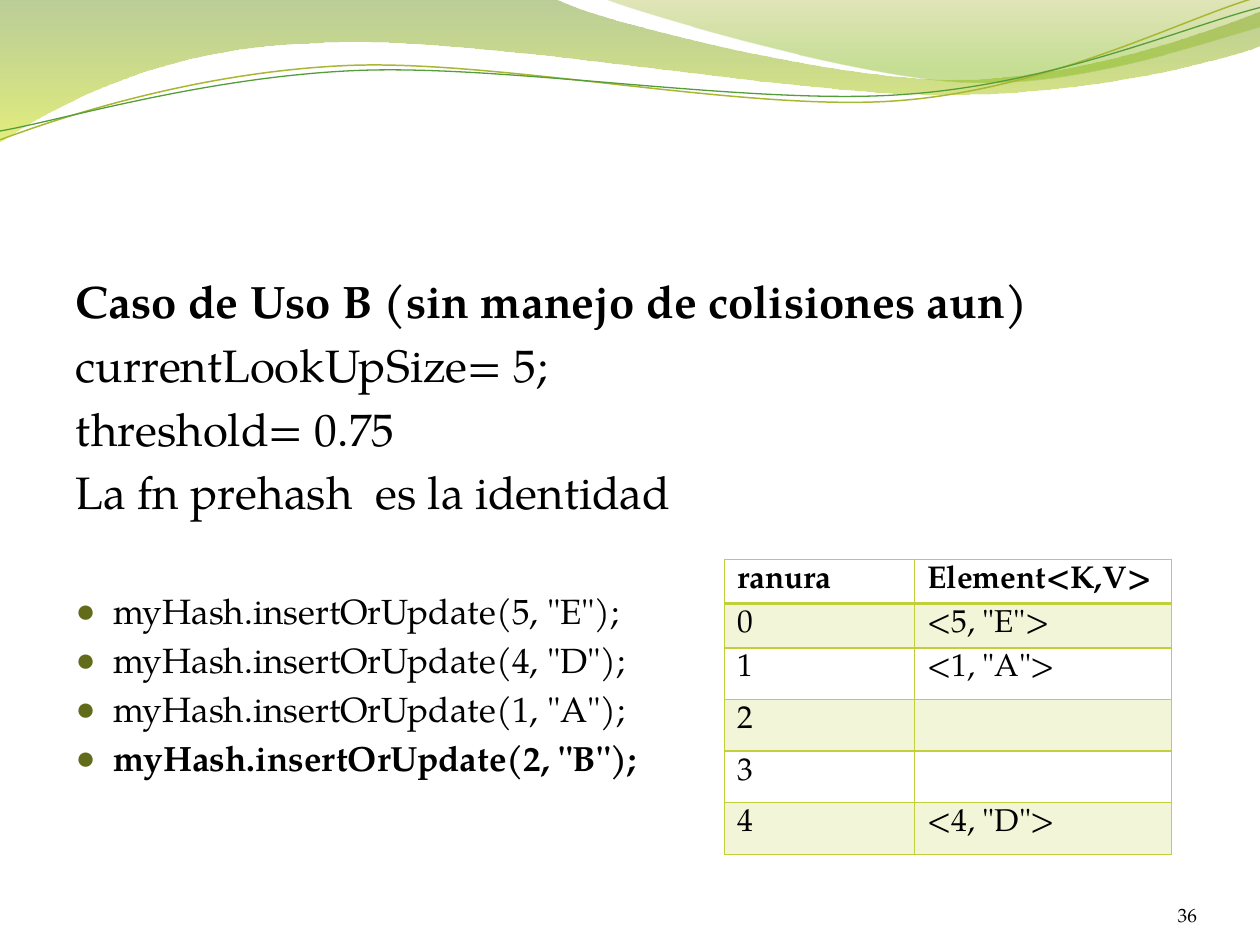
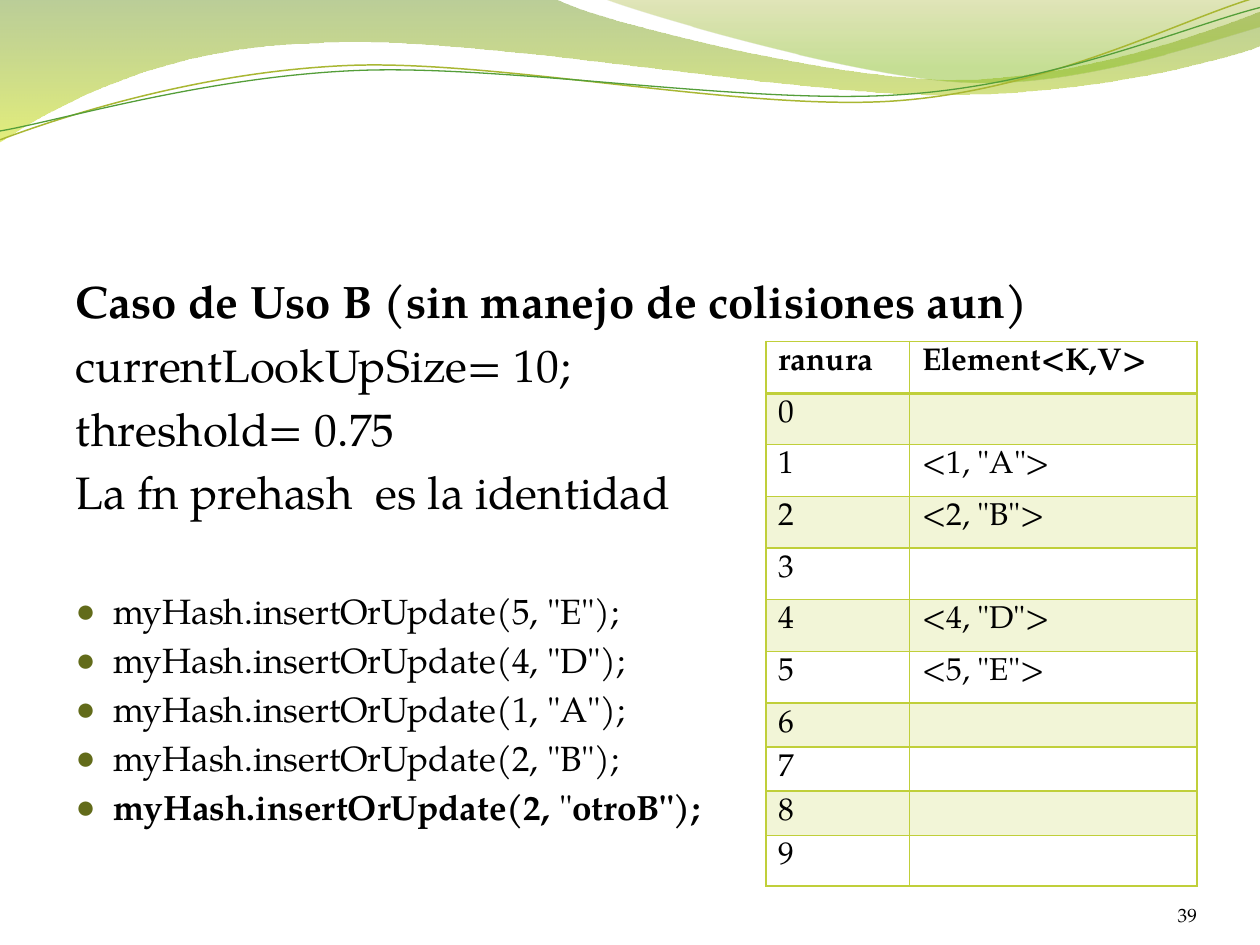
import math
from dataclasses import dataclass

from lxml import etree
from pptx import Presentation, util as u
from pptx.dml.color import RGBColor
from pptx.enum import text
from pptx.oxml.ns import qn


@dataclass(frozen=True)
class Theme:
    font: str = "TeX Gyre Pagella"
    ink: str = "000000"
    bullet: str = "626B1A"
    grid: str = "C0CF3A"
    olive_line: str = "A9B733"
    green_line: str = "549E39"
    wide_wave: tuple = ((0, "69921C", 45), (1, "CCE10F", 55))
    right_wave: tuple = ((0, "9BAA1A", 30), (0.8, "81BA16", 45))
    heading_size: int = 26
    call_size: int = 20
    table_size: int = 18
    number_size: int = 11
    band_opacity: int = 20


THEME = Theme()
CURVE_TILT = -2.7
FULL_ROW, COMPACT_ROW, LAST_ROW = 0.41, 0.2, 0.4

WIDE_WAVE = [
    [(0, 0)], [(4.4, -0.01)],
    [(4.75, 0.17), (6.63, 0.63), (7.58, 0.63)],
    [(8.53, 0.63), (9.58, 0.26), (10, 0.09)], [(10.01, 0.36)],
    [(9.83, 0.44), (8.69, 0.76), (7.46, 0.75)],
    [(6.22, 0.75), (3.81, 0.28), (2.57, 0.34)],
    [(1.29, 0.36), (0.46, 0.83), (-0.01, 1.13)], [(0, 0)],
]
RIGHT_WAVE = [
    [(4.79, -0.01)],
    [(5.09, 0.11), (6.82, 0.62), (7.68, 0.65)],
    [(8.55, 0.69), (9.61, 0.32), (10, 0.21)], [(10, 0)], [(4.79, -0.01)],
]
OLIVE_CURVE = [
    [(0, 1.11)],
    [(0.48, 0.93), (1.57, 0.57), (2.76, 0.52)],
    [(3.95, 0.47), (5.92, 0.89), (7.12, 0.8)],
    [(8.33, 0.71), (9.38, 0.15), (9.97, -0.02)],
]
GREEN_CURVE = [
    [(0, 1.04)],
    [(0.47, 0.96), (1.63, 0.61), (2.83, 0.56)],
    [(4.02, 0.51), (5.97, 0.84), (7.17, 0.75)],
    [(8.36, 0.67), (9.41, 0.21), (10, 0.06)],
]


def color(value):
    return RGBColor.from_string(value)


def sub(parent, tag, **attributes):
    return etree.SubElement(parent, qn(tag), attributes)


def set_opacity(element, percent):
    sub(element, "a:alpha", val=str(percent * 1000))


def rotate(point, center, degrees):
    angle = math.radians(degrees)
    x, y = point[0] - center[0], point[1] - center[1]
    return (center[0] + x * math.cos(angle) - y * math.sin(angle),
            center[1] + x * math.sin(angle) + y * math.cos(angle))


def add_outline(slide, segments, closed):
    segments = [[(u.Inches(x), u.Inches(y)) for x, y in segment] for segment in segments]
    start, *anchors = [segment[-1] for segment in segments]
    builder = slide.shapes.build_freeform(*start)
    builder.add_line_segments(anchors, close=closed)
    shape = builder.convert_to_shape()
    shape.shadow.inherit = False
    for line, segment in zip(list(shape.element.iter(qn("a:lnTo"))), segments[1:]):
        if len(segment) == 3:
            curve = etree.Element(qn("a:cubicBezTo"))
            for x, y in segment:
                sub(curve, "a:pt", x=str(x - shape.left), y=str(y - shape.top))
            line.getparent().replace(line, curve)
    return shape


def add_wave(slide, segments, stops):
    shape = add_outline(slide, segments, True)
    shape.line.fill.background()
    shape.fill.gradient()
    shape.fill.gradient_angle = 270
    for stop, (position, value, _) in zip(shape.fill.gradient_stops, stops):
        stop.position = position
        stop.color.rgb = color(value)
    for element, (_, _, opacity) in zip(shape.element.iter(qn("a:srgbClr")), stops):
        set_opacity(element, opacity)
    return shape


def add_curve(slide, segments, center, value, width):
    level = [[rotate(point, center, -CURVE_TILT) for point in segment]
             for segment in segments]
    shape = add_outline(slide, level, False)
    shape.rotation = CURVE_TILT
    shape.fill.background()
    shape.line.color.rgb = color(value)
    shape.line.width = u.Pt(width)
    return shape


def add_shared_band(layout, slide):
    band = [
        add_wave(slide, WIDE_WAVE, THEME.wide_wave),
        add_wave(slide, RIGHT_WAVE, THEME.right_wave),
        add_curve(slide, OLIVE_CURVE, (4.99, 0.57), THEME.olive_line, 0.85),
        add_curve(slide, GREEN_CURVE, (5, 0.59), THEME.green_line, 0.75),
    ]
    for shape in band:
        layout.element.cSld.spTree.append(shape.element)


def add_run(paragraph, words, size, bold=False):
    run = paragraph.add_run()
    run.text = words
    run.font.name = THEME.font
    run.font.size = u.Pt(size)
    run.font.bold = bold
    run.font.color.rgb = color(THEME.ink)


def format_bullet(paragraph, bulleted):
    properties = paragraph._p.get_or_add_pPr()
    margin = u.Inches(0.3) if bulleted else 0
    properties.set("marL", str(margin))
    properties.set("indent", str(-margin))
    if bulleted:
        sub(sub(properties, "a:buClr"), "a:srgbClr", val=THEME.bullet)
        sub(properties, "a:buSzPct", val="95000")
        sub(properties, "a:buChar", char="●")
    else:
        sub(properties, "a:buNone")


def fill_body(slide, settings, calls):
    slide.shapes.title.element.getparent().remove(slide.shapes.title.element)
    body = slide.placeholders[1]
    body.left, body.top, body.width, body.height = map(u.Inches, (0.5, 2.12, 9, 4.8))
    frame = body.text_frame
    frame.auto_size = text.MSO_AUTO_SIZE.NONE
    paragraph = frame.paragraphs[0]
    for index, words in enumerate(settings):
        if index:
            paragraph = frame.add_paragraph()
        format_bullet(paragraph, False)
        add_run(paragraph, words, THEME.heading_size, bold=index == 0)
    for index, runs in enumerate(calls):
        paragraph = frame.add_paragraph()
        if index == 0:
            paragraph.space_before = u.Pt(40.5)
        format_bullet(paragraph, True)
        for words, bold in runs:
            add_run(paragraph, words, THEME.call_size, bold)


def add_page_number(slide, number):
    box = slide.shapes.add_textbox(*map(u.Inches, (8.67, 6.95, 0.83, 0.4)))
    frame = box.text_frame
    frame.word_wrap = True
    frame.vertical_anchor = text.MSO_ANCHOR.BOTTOM
    frame.margin_left = frame.margin_right = frame.margin_top = frame.margin_bottom = 0
    paragraph = frame.paragraphs[0]
    paragraph.alignment = text.PP_ALIGN.RIGHT
    add_run(paragraph, str(number), THEME.number_size)


def set_borders(cell, top, bottom):
    properties = cell._tc.get_or_add_tcPr()
    widths = {"a:lnL": 1, "a:lnR": 1, "a:lnT": top, "a:lnB": bottom}
    for index, (tag, width) in enumerate(widths.items()):
        line = sub(properties, tag, w=str(u.Pt(width)))
        sub(sub(line, "a:solidFill"), "a:srgbClr", val=THEME.grid)
        properties.insert(index, line)


def format_cell(cell, words, row, compact):
    if compact:
        cell.margin_bottom = 0
    if row % 2:
        cell.fill.solid()
        cell.fill.fore_color.rgb = color(THEME.grid)
        set_opacity(next(cell._tc.iter(qn("a:srgbClr"))), THEME.band_opacity)
    else:
        cell.fill.background()
    paragraph = cell.text_frame.paragraphs[0]
    if words:
        add_run(paragraph, words, THEME.table_size, bold=row == 0)
    else:
        paragraph.font.size = u.Pt(THEME.table_size)
    set_borders(cell, 2 if row == 1 else 1, 2 if row == 0 else 1)


def add_slot_table(slide, box, widths, heights, elements):
    rows = [("ranura", "Element<K,V>")]
    rows += [(str(slot), elements.get(slot, "")) for slot in range(len(heights) - 1)]
    frame = slide.shapes.add_table(len(rows), len(widths), *map(u.Inches, box))
    table = frame.table
    table.horz_banding = False
    for column, width in zip(table.columns, widths):
        column.width = u.Inches(width)
    for index, (height, values) in enumerate(zip(heights, rows)):
        table.rows[index].height = u.Inches(height)
        for column, words in enumerate(values):
            format_cell(table.cell(index, column), words, index, height == COMPACT_ROW)
    frame.height = u.Inches(box[3])


def insert_call(arguments, bold=False):
    return [(f"myHash.insertOrUpdate({arguments});", bold)]


def add_use_case(presentation, layout, size, calls, number):
    slide = presentation.slides.add_slide(layout)
    settings = ["Caso de Uso B (sin manejo de colisiones aun)",
                f"currentLookUpSize= {size};", "threshold= 0.75",
                "La fn prehash  es la identidad"]
    fill_body(slide, settings, calls)
    add_page_number(slide, number)
    return slide


def main():
    presentation = Presentation()
    presentation.slide_width, presentation.slide_height = u.Inches(10), u.Inches(7.5)
    layout = presentation.slide_layouts[1]
    first_calls = [insert_call(pair) for pair in ('5, "E"', '4, "D"', '1, "A"')]

    small = add_use_case(presentation, layout, 5,
                         first_calls + [insert_call('2, "B"', bold=True)], 36)
    add_shared_band(layout, small)
    add_slot_table(small, (5.75, 4.44, 3.55, 2.42), (1.51, 2.04),
                   [COMPACT_ROW] * 2 + [FULL_ROW] * 4,
                   {0: '<5, "E">', 1: '<1, "A">', 4: '<4, "D">'})

    repeated_key = [("myHash.insertOrUpdate(2, ", True), ('"', False), ('otroB");', True)]
    large = add_use_case(presentation, layout, 10,
                         first_calls + [insert_call('2, "B"'), repeated_key], 39)
    add_slot_table(large, (6.08, 2.71, 3.42, 4.44), (1.14, 2.28),
                   [FULL_ROW] * 7 + [COMPACT_ROW] * 3 + [LAST_ROW],
                   {1: '<1, "A">', 2: '<2, "B">', 4: '<4, "D">', 5: '<5, "E">'})

    presentation.save("out.pptx")


if __name__ == "__main__":
    main()
